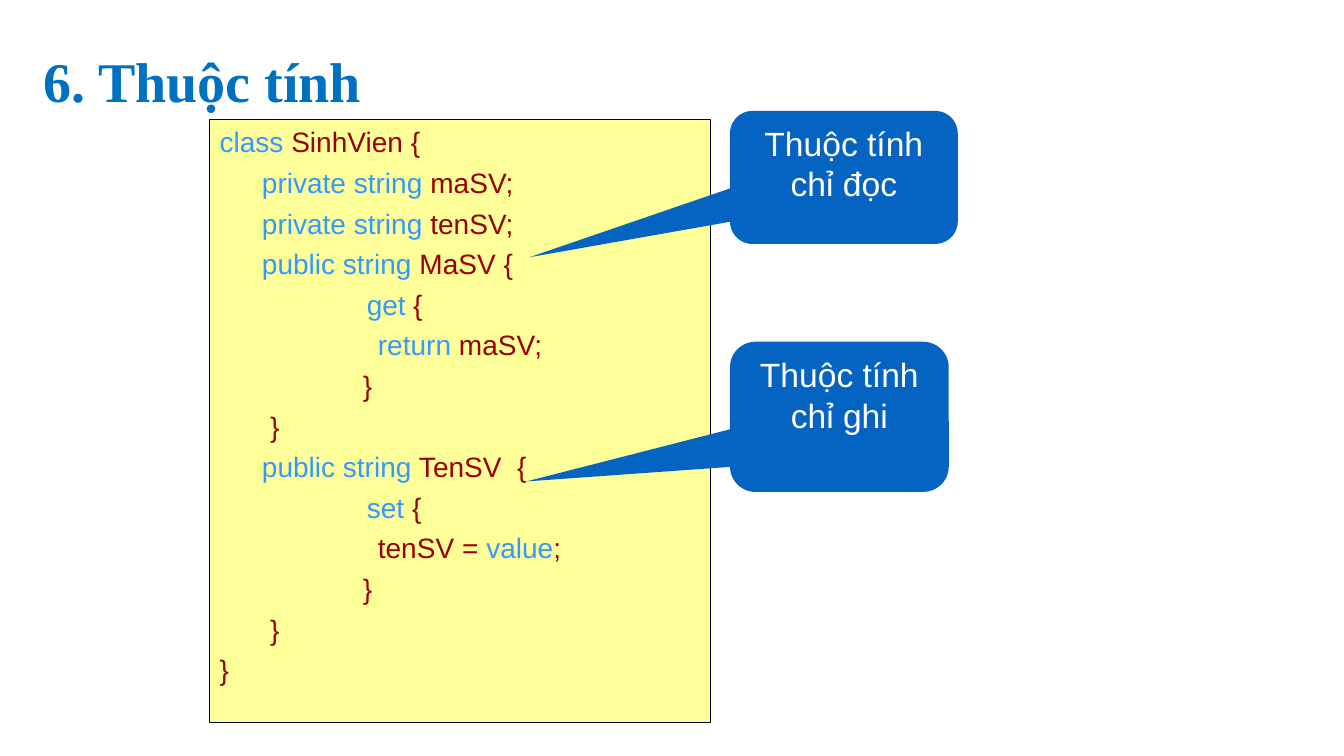
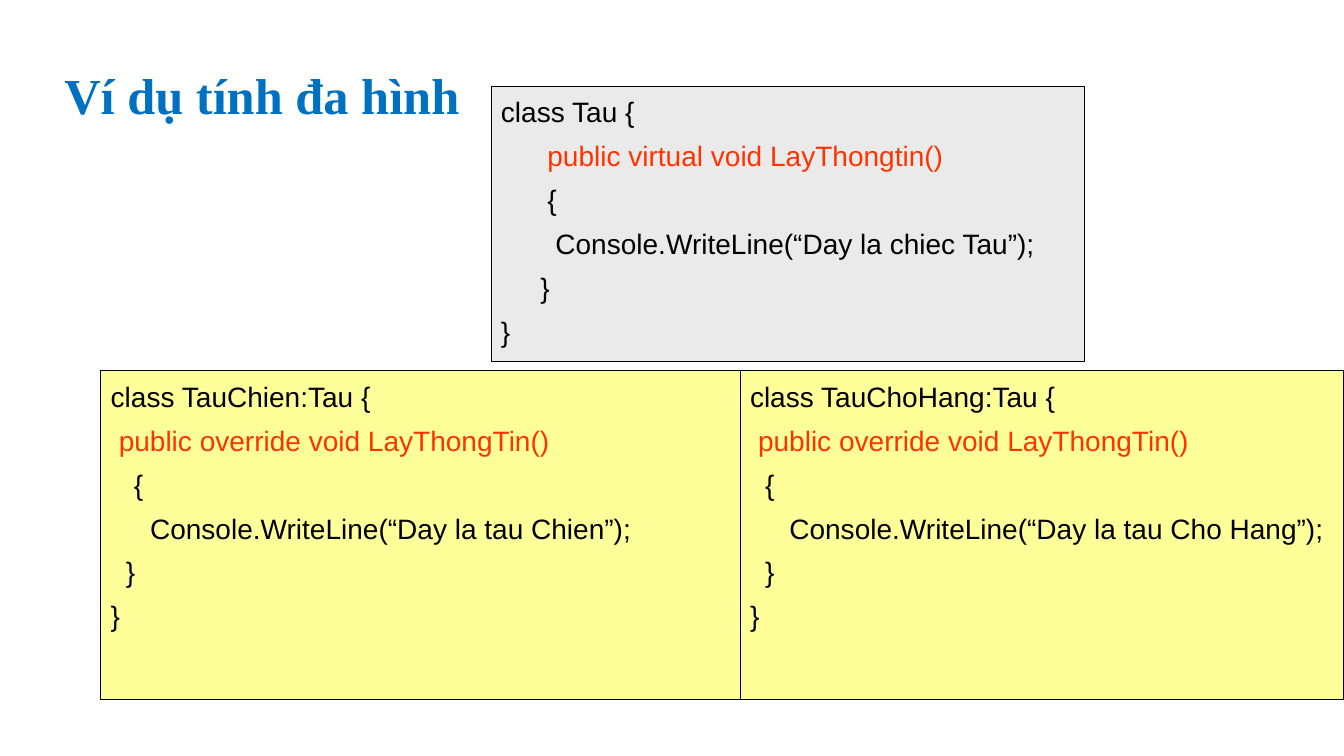
"""Build two slides on properties and polymorphism in C#."""
from pptx import Presentation
from pptx.dml.color import RGBColor
from pptx.enum.shapes import MSO_SHAPE
from pptx.enum.text import MSO_ANCHOR, PP_ALIGN
from pptx.util import Pt

PX = 9144
RECT = MSO_SHAPE.RECTANGLE
CALLOUT = MSO_SHAPE.ROUNDED_RECTANGULAR_CALLOUT
TOP, MIDDLE = MSO_ANCHOR.TOP, MSO_ANCHOR.MIDDLE
LEFT, CENTER = PP_ALIGN.LEFT, PP_ALIGN.CENTER
HANG = 42
COLORS = {
    "title": "0070C0", "callout": "0563C1", "white": "FFFFFF",
    "yellow": "FFFF99", "gray": "EAEAEA", "black": "000000",
    "key": "3399FF", "name": "990000", "method": "FF3300",
}

STUDENT = [
    (0, ("class", "key"), (" SinhVien {", "name")),
    (42, ("private string", "key"), (" maSV;", "name")),
    (42, ("private string", "key"), (" tenSV;", "name")),
    (42, ("public string", "key"), (" MaSV {", "name")),
    (146, ("get", "key"), ("\t{", "name")),
    (157, ("return", "key"), (" maSV;", "name")),
    (142, ("}", "name")),
    (50, ("}", "name")),
    (42, ("public string", "key"), (" TenSV  {", "name")),
    (146, ("set ", "key"), ("{", "name")),
    (157, ("tenSV =", "name"), (" value", "key"), (";", "name")),
    (142, ("}", "name")),
    (50, ("}", "name")),
    (0, ("}", "name")),
]


def paint(color, tint):
    """Set a colour format to a named colour."""
    color.rgb = RGBColor.from_string(COLORS[tint])


def write(frame, rows, size=20, font="Arial", bold=False, align=LEFT,
          anchor=TOP, space=1.0, before=0, hang=0):
    """Fill a frame with rows of an indent and coloured runs."""
    frame.word_wrap = True
    frame.vertical_anchor = anchor
    for i, (indent, *runs) in enumerate(rows):
        para = frame.paragraphs[0] if i == 0 else frame.add_paragraph()
        para.alignment = align
        para.line_spacing = space
        para.space_before = Pt(before)
        props = para._p.get_or_add_pPr()
        props.set("marL", str(hang * PX))
        props.set("indent", str((indent - hang) * PX))
        for text, tint in runs:
            run = para.add_run()
            run.text = text
            run.font.size = Pt(size)
            run.font.name = font
            run.font.bold = bold
            paint(run.font.color, tint)


def panel(slide, kind, box, fill, line=None):
    """Add a filled shape with an optional thin outline."""
    shape = slide.shapes.add_shape(kind, *(n * PX for n in box))
    shape.shadow.inherit = False
    shape.fill.solid()
    paint(shape.fill.fore_color, fill)
    if line:
        paint(shape.line.color, line)
        shape.line.width = Pt(0.75)
    else:
        shape.line.fill.background()
    return shape


def code(slide, box, rows, fill="yellow", space=1.1):
    """Add an outlined box of program code."""
    shape = panel(slide, RECT, box, fill, "black")
    write(shape.text_frame, rows, space=space, before=5, hang=HANG)


def callout(slide, box, text, tail):
    """Add a round callout whose tail ends at an offset from its centre."""
    shape = panel(slide, CALLOUT, box, "callout")
    for i, part in enumerate((*tail, 0.17)):
        shape.adjustments[i] = part
    write(shape.text_frame, [(0, (text, "white"))], size=24, align=CENTER)


def title(slide, box, text, size, space):
    """Add the bold serif slide title."""
    frame = slide.shapes.add_textbox(*(n * PX for n in box)).text_frame
    write(frame, [(0, (text, "title"))], size=size, font="Times New Roman",
          bold=True, anchor=MIDDLE, space=space)


def ship(head, method, text, steps):
    """Return the code rows of a class with one method."""
    call = f"Console.WriteLine(“{text}”);"
    inner = [(method, "method"), ("{", "black"), (call, "black"), ("}", "black")]
    return [(0, (f"class {head} {{", "black")), *zip(steps, inner),
            (0, ("}", "black"))]


def main():
    """Build and save both slides."""
    deck = Presentation()
    deck.slide_width, deck.slide_height = 1333 * PX, 750 * PX
    blank = deck.slide_layouts[6]

    slide = deck.slides.add_slide(blank)
    code(slide, (208, 119, 497, 598), STUDENT, space=1.0)
    callout(slide, (724, 110, 226, 132), "Thuộc tính chỉ đọc", (-1.38, 0.6))
    callout(slide, (724, 339, 217, 149), "Thuộc tính chỉ ghi", (-1.43, 0.43))
    title(slide, (33, 58, 862, 52), "6. Thuộc tính", 40, 0.9)

    slide = deck.slides.add_slide(blank)
    over = "public override void LayThongTin()"
    code(slide, (487, 86, 589, 273),
         ship("Tau", "public virtual void LayThongtin()",
              "Day la chiec Tau", (46, 46, 54, 39)), fill="gray")
    code(slide, (100, 368, 664, 326),
         ship("TauChien:Tau", over, "Day la tau Chien", (8, 23, 39, 15)))
    code(slide, (734, 368, 599, 326),
         ship("TauChoHang:Tau", over, "Day la tau Cho Hang", (8, 15, 39, 15)))
    title(slide, (54, 50, 750, 58), "Ví dụ tính đa hình", 36, 1.5)

    deck.save("out.pptx")


if __name__ == "__main__":
    main()
